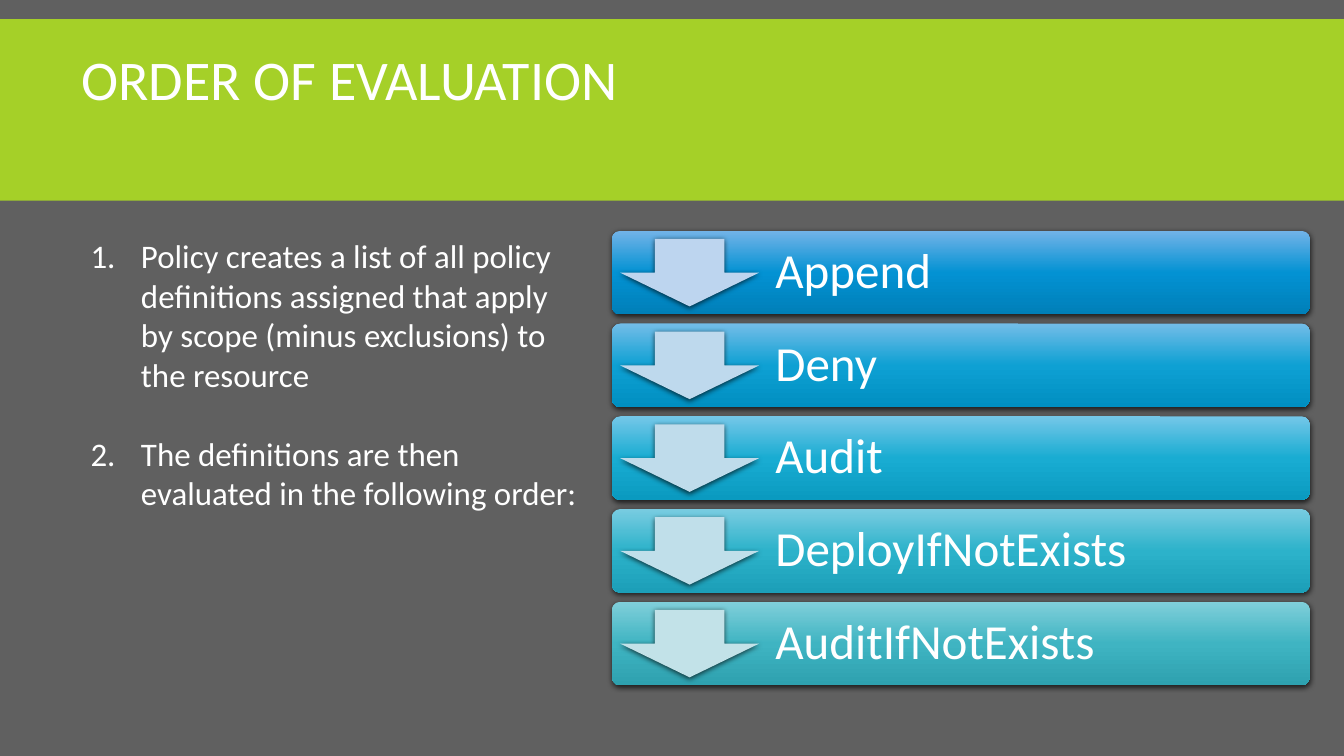
from dataclasses import dataclass

from lxml import etree
from pptx import Presentation
from pptx.dml.color import RGBColor
from pptx.enum import shapes, text
from pptx.oxml import ns
from pptx.shapes.autoshape import Shape
from pptx.slide import Slide
from pptx.util import Inches, Pt

FONT = "Calibri"
WHITE = RGBColor(0xFF, 0xFF, 0xFF)
BLACK = RGBColor(0x00, 0x00, 0x00)
GREY = RGBColor(0x60, 0x60, 0x60)
LIME = RGBColor(0xA5, 0xD0, 0x28)

BAR_TOP, BAR_PITCH, BAR_HEIGHT = 2.29, 0.92, 0.83
BODY_SIZE = 23.5


@dataclass(frozen=True)
class Effect:
    label: str
    gradient: tuple[RGBColor, RGBColor, RGBColor]
    arrow: RGBColor


def effect(label: str, top: str, middle: str, bottom: str, arrow: str) -> Effect:
    light, mid, dark, pale = map(RGBColor.from_string, (top, middle, bottom, arrow))
    return Effect(label, (light, mid, dark), pale)


EFFECTS = [
    effect("Append", "72B3E8", "0392D3", "007FB8", "BDD5EF"),
    effect("Deny", "73BDE8", "0EA0D3", "008FC1", "BED9ED"),
    effect("Audit", "74C7E8", "19ACD2", "0A9AC0", "BFDCEB"),
    effect("DeployIfNotExists", "79CCE1", "2CB2CA", "1C9FB8", "C0DFEA"),
    effect("AuditIfNotExists", "80CFDA", "3FB4C2", "2EA1AF", "C2E2E8"),
]

STEPS = [
    "Policy creates a list of all policy definitions assigned that apply "
    "by scope (minus exclusions) to the resource",
    "The definitions are then evaluated in the following order:",
]


def add_block(slide: Slide, kind: shapes.MSO_SHAPE, left: float, top: float,
              width: float, height: float, color: RGBColor) -> Shape:
    block = slide.shapes.add_shape(
        kind, Inches(left), Inches(top), Inches(width), Inches(height))
    block.fill.solid()
    block.fill.fore_color.rgb = color
    block.line.fill.background()
    block.shadow.inherit = False
    return block


def add_text(slide: Slide, left: float, top: float, width: float, height: float,
             lines: list[str], size: float, inset: tuple[float, float] = (0.1, 0.05),
             numbered: bool = False) -> Shape:
    box = slide.shapes.add_textbox(
        Inches(left), Inches(top), Inches(width), Inches(height))
    frame = box.text_frame
    frame.word_wrap = True
    frame.margin_left = frame.margin_right = Inches(inset[0])
    frame.margin_top = frame.margin_bottom = Inches(inset[1])
    frame.text = "\n".join(lines)
    for paragraph in frame.paragraphs:
        if numbered:
            number_paragraph(paragraph)
        paragraph.font.name = FONT
        paragraph.font.size = Pt(size)
        paragraph.font.color.rgb = WHITE
    return box


def number_paragraph(paragraph: text.MSO_ANCHOR) -> None:
    properties = paragraph._p.get_or_add_pPr()
    properties.set("marL", str(Inches(0.5)))
    properties.set("indent", str(Inches(-0.5)))
    font = etree.SubElement(properties, ns.qn("a:buFont"))
    font.set("typeface", "+mj-lt")
    etree.SubElement(properties, ns.qn("a:buAutoNum")).set("type", "arabicPeriod")


def set_gradient(block: Shape, colors: tuple[RGBColor, ...]) -> None:
    """Blend the colours evenly from top to bottom."""
    gradient = etree.Element(ns.qn("a:gradFill"), rotWithShape="1")
    stops = etree.SubElement(gradient, ns.qn("a:gsLst"))
    for index, color in enumerate(colors):
        position = 100000 * index // (len(colors) - 1)
        stop = etree.SubElement(stops, ns.qn("a:gs"), pos=str(position))
        etree.SubElement(stop, ns.qn("a:srgbClr"), val=str(color))
    etree.SubElement(gradient, ns.qn("a:lin"), ang="5400000", scaled="0")
    solid = block._element.spPr.find(ns.qn("a:solidFill"))
    solid.getparent().replace(solid, gradient)


def cast_shadow(block: Shape) -> None:
    effects = block._element.spPr.find(ns.qn("a:effectLst"))
    shadow = etree.SubElement(
        effects, ns.qn("a:outerShdw"), blurRad=str(Pt(4)), dist=str(Pt(1.2)),
        dir="5400000", algn="ctr", rotWithShape="0")
    color = etree.SubElement(shadow, ns.qn("a:srgbClr"), val=str(BLACK))
    etree.SubElement(color, ns.qn("a:alpha"), val="68000")


def add_effect(slide: Slide, item: Effect, top: float) -> None:
    bar = add_block(slide, shapes.MSO_SHAPE.ROUNDED_RECTANGLE,
                    6.07, top, 6.92, BAR_HEIGHT, item.gradient[1])
    bar.adjustments[0] = 0.1
    set_gradient(bar, item.gradient)
    cast_shadow(bar)

    label = add_text(slide, 7.54, top, 5.45, BAR_HEIGHT, [item.label], 35, (0.15, 0.15))
    label.text_frame.vertical_anchor = text.MSO_ANCHOR.MIDDLE
    label.text_frame.paragraphs[0].line_spacing = 0.9

    arrow = add_block(slide, shapes.MSO_SHAPE.DOWN_ARROW,
                      6.15, top + 0.08, 1.38, 0.67, item.arrow)
    cast_shadow(arrow)


def main() -> None:
    deck = Presentation()
    deck.slide_width, deck.slide_height = Inches(13.33), Inches(7.5)
    slide = deck.slides.add_slide(deck.slide_layouts[6])
    slide.background.fill.solid()
    slide.background.fill.fore_color.rgb = GREY

    # Title band
    add_block(slide, shapes.MSO_SHAPE.RECTANGLE, 0, 0.19, 13.33, 1.8, LIME)
    title = add_text(slide, 0.71, 0.5, 10.28, 1.53, ["ORDER OF EVALUATION"], 40)
    title.text_frame.paragraphs[0].line_spacing = 0.85

    # Effects in order of evaluation
    for index, item in enumerate(EFFECTS):
        add_effect(slide, item, BAR_TOP + index * BAR_PITCH)

    # Numbered steps, one empty line's height apart
    steps = add_text(slide, 0.8, 2.29, 5.05, 3.27, STEPS, BODY_SIZE, numbered=True)
    steps.text_frame.paragraphs[1].space_before = Pt(28.5)

    deck.save("out.pptx")


if __name__ == "__main__":
    main()
